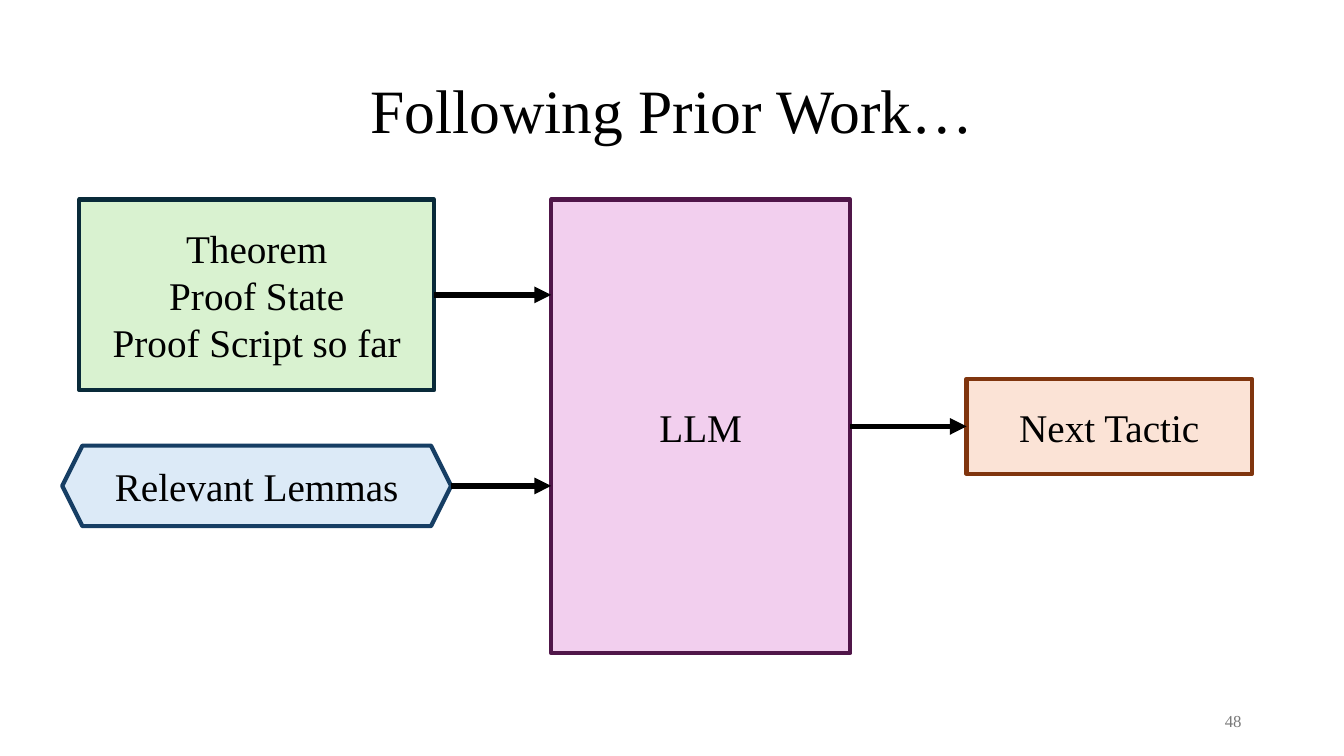
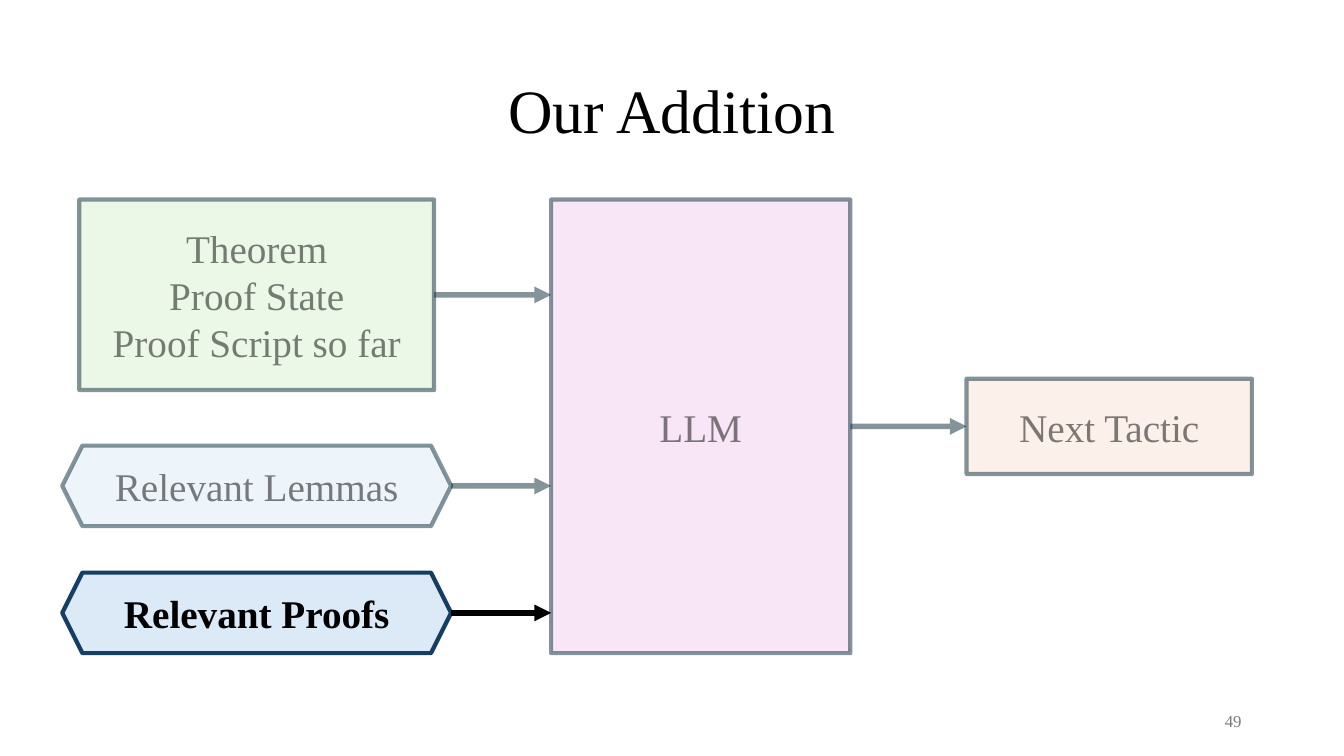
from lxml import etree
from pptx import Presentation
from pptx.dml.color import RGBColor
from pptx.enum.shapes import MSO_CONNECTOR, MSO_SHAPE
from pptx.enum.text import MSO_ANCHOR, PP_ALIGN
from pptx.oxml.ns import qn
from pptx.util import Cm, Pt

RECT, HEXAGON = MSO_SHAPE.RECTANGLE, MSO_SHAPE.HEXAGON
STRAIGHT = MSO_CONNECTOR.STRAIGHT
MIDDLE = MSO_ANCHOR.MIDDLE
CENTER, RIGHT = PP_ALIGN.CENTER, PP_ALIGN.RIGHT
SIDE_LEFT, SIDE_RIGHT = 1, 3

FONT = "Times New Roman"
BLACK, GREY, FADED_LINE = "000000", "797979", "092A39"
GREEN = ("D9F2D0", "092A39")  # fill, outline
BLUE = ("DCEAF7", "163E64")
PINK = ("F2CFEE", "501649")
ORANGE = ("FBE3D6", "80350E")
TITLE_BOX = (2.33, 1.01, 29.21, 3.68)
DIAGRAM_BOX = (1.57, 5.03, 29.98, 11.43)
NUMBER_BOX = (23.92, 17.66, 7.62, 1.01)


def rgb(color):
    return RGBColor.from_string(color)


def place(shape, box):
    shape.left, shape.top, shape.width, shape.height = map(Cm, box)


def fade(shape):
    """Make every colour of the shape half transparent."""
    for color in shape.element.iter(qn("a:srgbClr")):
        etree.SubElement(color, qn("a:alpha"), val="50000")


def write(shape, text, size, color=BLACK, align=CENTER, bold=False):
    tf = shape.text_frame
    tf.word_wrap = True
    tf.vertical_anchor = MIDDLE
    tf.text = text
    for p in tf.paragraphs:
        p.alignment = align
        p.font.name, p.font.size, p.font.bold = FONT, Pt(size), bold
        p.font.color.rgb = rgb(color)


def add_node(s, kind, box, text, colors, faded=False, bold=False):
    fill, outline = colors
    sp = s.shapes.add_shape(kind, *map(Cm, box))
    sp.shadow.inherit = False
    sp.fill.solid()
    sp.fill.fore_color.rgb = rgb(fill)
    sp.line.color.rgb = rgb(FADED_LINE if faded else outline)
    sp.line.width = Pt(3)
    write(sp, text, 28, bold=bold)
    if faded:
        fade(sp)
    return sp


def add_arrow(s, source, target, faded=False):
    """Draw a level arrow from the right of source to the left of target."""
    y = source.top + source.height // 2
    arrow = s.shapes.add_connector(
        STRAIGHT, source.left + source.width, y, target.left, y)
    if source.auto_shape_type == RECT:
        arrow.begin_connect(source, SIDE_RIGHT)
    if y == target.top + target.height // 2:
        arrow.end_connect(target, SIDE_LEFT)
    arrow.line.color.rgb = rgb(FADED_LINE if faded else BLACK)
    arrow.line.width = Pt(4)
    sp_pr = arrow.element.spPr
    etree.SubElement(sp_pr.find(qn("a:ln")), qn("a:tailEnd"), type="triangle")
    etree.SubElement(sp_pr, qn("a:effectLst"))
    if faded:
        fade(arrow)


def add_diagram(s, box, addition=None):
    """Draw the pipeline; an addition stands out and the rest is faded."""
    left, top, width, height = box
    faded = addition is not None
    input_w, input_h = 9.8, 2.03
    theorem_w, output_w, output_h = 8.94, 7.19, 2.4

    # Inputs
    theorem = add_node(
        s, RECT, (left + (input_w - theorem_w) / 2, top, theorem_w, 4.8),
        "Theorem\nProof State\nProof Script so far", GREEN, faded)
    lemmas = add_node(s, HEXAGON, (left, top + 6.2, input_w, input_h),
                      "Relevant Lemmas", BLUE, faded)
    inputs = [(theorem, faded), (lemmas, faded)]
    if addition:
        extra = add_node(
            s, HEXAGON, (left, top + height - input_h, input_w, input_h),
            addition, BLUE, bold=True)
        inputs.append((extra, False))

    # Model and output
    model = add_node(s, RECT, (left + 12.32, top, 7.54, height),
                     "LLM", PINK, faded)
    output = add_node(
        s, RECT, (left + width - output_w, top + (height - output_h) / 2,
                  output_w, output_h), "Next Tactic", ORANGE, faded)
    output.top = model.top + (model.height - output.height) // 2

    # Arrows
    for source, source_faded in inputs:
        add_arrow(s, source, model, source_faded)
    add_arrow(s, model, output, faded)


def add_slide(prs, title, number, addition=None):
    s = prs.slides.add_slide(prs.slide_layouts.get_by_name("Title Only"))
    place(s.shapes.title, TITLE_BOX)
    write(s.shapes.title, title, 44)
    s.shapes.title.text_frame.paragraphs[0].line_spacing = 0.9
    add_diagram(s, DIAGRAM_BOX, addition)
    page = s.shapes.add_textbox(*map(Cm, NUMBER_BOX))
    write(page, str(number), 12, GREY, RIGHT)


def main():
    prs = Presentation()
    prs.slide_width, prs.slide_height = Cm(33.87), Cm(19.05)
    add_slide(prs, "Following Prior Work…", 48)
    add_slide(prs, "Our Addition", 49, addition="Relevant Proofs")
    prs.save("out.pptx")


if __name__ == "__main__":
    main()
